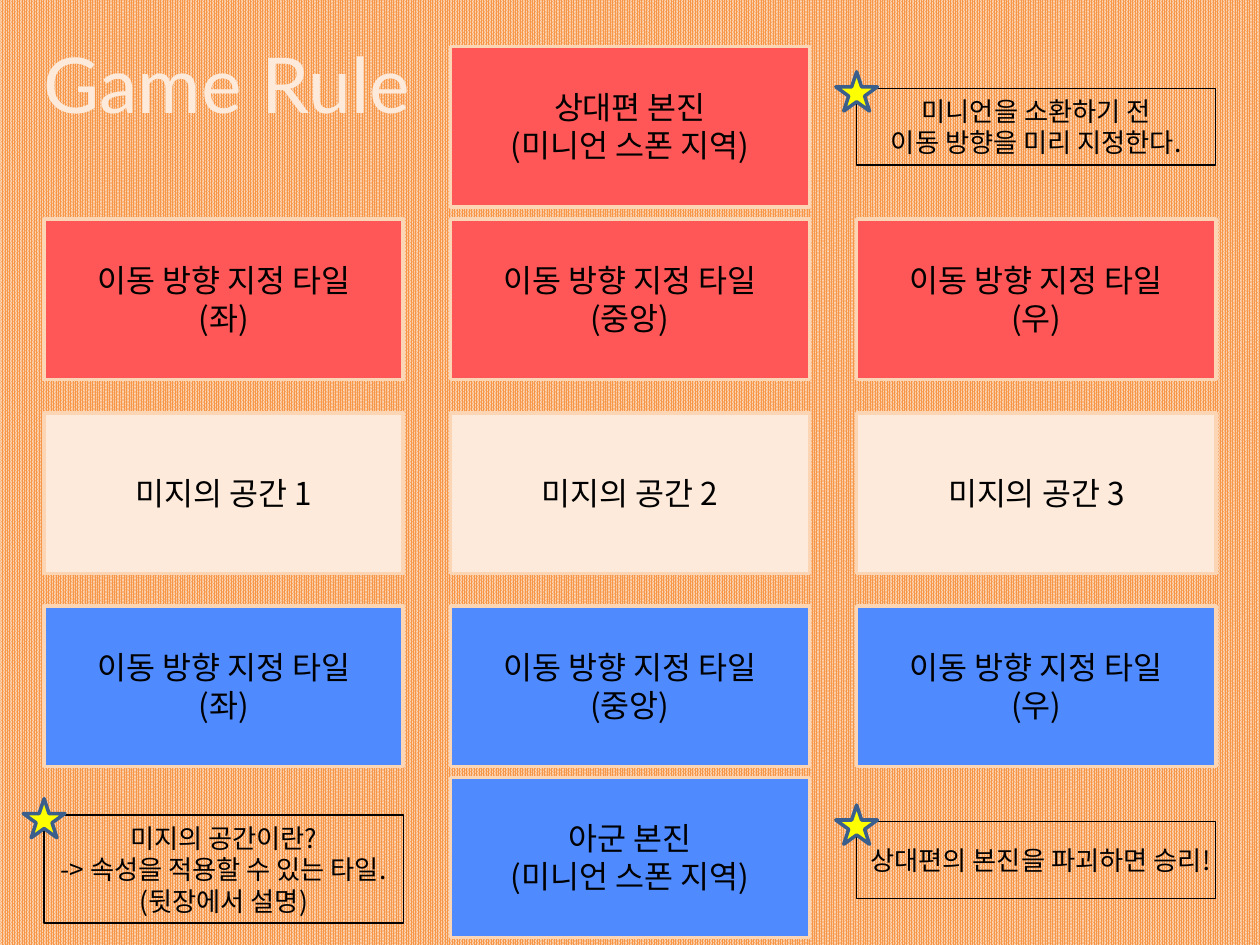
from pptx import Presentation
from pptx.dml.color import RGBColor
from pptx.enum.dml import MSO_PATTERN
from pptx.enum.shapes import MSO_SHAPE
from pptx.enum.text import MSO_ANCHOR, MSO_AUTO_SIZE, PP_ALIGN
from pptx.oxml.ns import qn
from pptx.util import Cm, Pt
from lxml import etree

RECT = MSO_SHAPE.RECTANGLE
STAR = MSO_SHAPE.STAR_5_POINT
PATTERN = MSO_PATTERN.PERCENT_90
MIDDLE = MSO_ANCHOR.MIDDLE
GROW = MSO_AUTO_SIZE.SHAPE_TO_FIT_TEXT
CENTER = PP_ALIGN.CENTER

ORANGE = RGBColor(0xF7, 0x96, 0x46)
PEACH = RGBColor(0xFC, 0xD5, 0xB5)
CREAM = RGBColor(0xFD, 0xEA, 0xDA)
RED = RGBColor(0xFF, 0x57, 0x57)
BLUE = RGBColor(0x4F, 0x8A, 0xFF)
YELLOW = RGBColor(0xFF, 0xFF, 0x00)
NAVY = RGBColor(0x3A, 0x5F, 0x8C)
BLACK = RGBColor(0x00, 0x00, 0x00)

LATIN_FONT = "Lato"
KOREAN_FONT = "Noto Sans CJK KR"

# Board grid, in cm
TILE_W, TILE_H = 7.24, 3.23
COLS = [0.89 + 8.19 * i for i in range(3)]
ENEMY_BASE, ENEMY_ROW, MIDDLE_ROW, ALLY_ROW, ALLY_BASE = 0.94, 4.42, 8.33, 12.22, 15.67
STAR_W, STAR_H, STAR_RISE = 0.84, 0.79, 0.33


def format_text(tf, size, color, font):
    for p in tf.paragraphs:
        p.alignment = CENTER
        for r in p.runs:
            r.font.size = Pt(size)
            r.font.name = font
            r.font.color.rgb = color
            ea = etree.SubElement(r.font._element, qn("a:ea"))
            ea.set("typeface", font)


def write(sp, text, size):
    tf = sp.text_frame
    tf.word_wrap = True
    tf.auto_size = GROW
    tf.text = text
    format_text(tf, size, BLACK, KOREAN_FONT)


def add_box(slide, kind, x, y, w, h, fill, line, width):
    sp = slide.shapes.add_shape(kind, Cm(x), Cm(y), Cm(w), Cm(h))
    sp.shadow.inherit = False
    if fill is None:
        sp.fill.background()
    else:
        sp.fill.solid()
        sp.fill.fore_color.rgb = fill
    sp.line.color.rgb = line
    sp.line.width = Pt(width)
    return sp


def add_title(slide, x, y, w, h):
    title = slide.shapes.title
    title.left, title.top, title.width, title.height = Cm(x), Cm(y), Cm(w), Cm(h)
    tf = title.text_frame
    tf.text = "Game Rule"
    tf.vertical_anchor = MIDDLE
    format_text(tf, 44, CREAM, LATIN_FONT)


def add_tile(slide, x, y, fill, text):
    """A board tile with its label centred in it."""
    add_box(slide, RECT, x, y, TILE_W, TILE_H, fill, PEACH, 2)
    label_h = 1.8 if "\n" in text else 1.02
    label = slide.shapes.add_textbox(
        Cm(x), Cm(y + (TILE_H - label_h) / 2), Cm(TILE_W), Cm(label_h))
    write(label, text, 18)


def add_note(slide, x, y, h, text):
    """An outlined note with a star on its top left corner."""
    write(add_box(slide, RECT, x, y, TILE_W, h, None, BLACK, 0.75), text, 15)
    add_box(slide, STAR, x - STAR_W / 2, y - STAR_RISE, STAR_W, STAR_H, YELLOW, NAVY, 2)


def add_board(slide):
    left, centre, right = COLS
    # Bases
    add_tile(slide, centre, ENEMY_BASE, RED, "상대편 본진\n(미니언 스폰 지역)")
    add_tile(slide, centre, ALLY_BASE, BLUE, "아군 본진\n(미니언 스폰 지역)")
    # Direction tiles and unknown spaces
    for number, (x, side) in enumerate(zip(COLS, ("좌", "중앙", "우")), 1):
        direction = f"이동 방향 지정 타일\n({side})"
        add_tile(slide, x, ENEMY_ROW, RED, direction)
        add_tile(slide, x, MIDDLE_ROW, CREAM, f"미지의 공간 {number}")
        add_tile(slide, x, ALLY_ROW, BLUE, direction)
    # Notes
    add_note(slide, right, 1.78, 1.55, "미니언을 소환하기 전\n이동 방향을 미리 지정한다.")
    add_note(slide, right, 16.56, 1.55, "상대편의 본진을 파괴하면 승리!")
    add_note(slide, left, 16.43, 2.18,
             "미지의 공간이란?\n-> 속성을 적용할 수 있는 타일. (뒷장에서 설명)")


def main():
    prs = Presentation()
    prs.slide_width, prs.slide_height = Cm(25.4), Cm(19.05)
    slide = prs.slides.add_slide(prs.slide_layouts[5])

    # Patterned background
    fill = slide.background.fill
    fill.patterned()
    fill.pattern = PATTERN
    fill.fore_color.rgb = ORANGE
    fill.back_color.rgb = PEACH

    add_title(slide, 0.08, 0.08, 8.99, 3.18)
    add_board(slide)
    prs.save("out.pptx")


if __name__ == "__main__":
    main()
